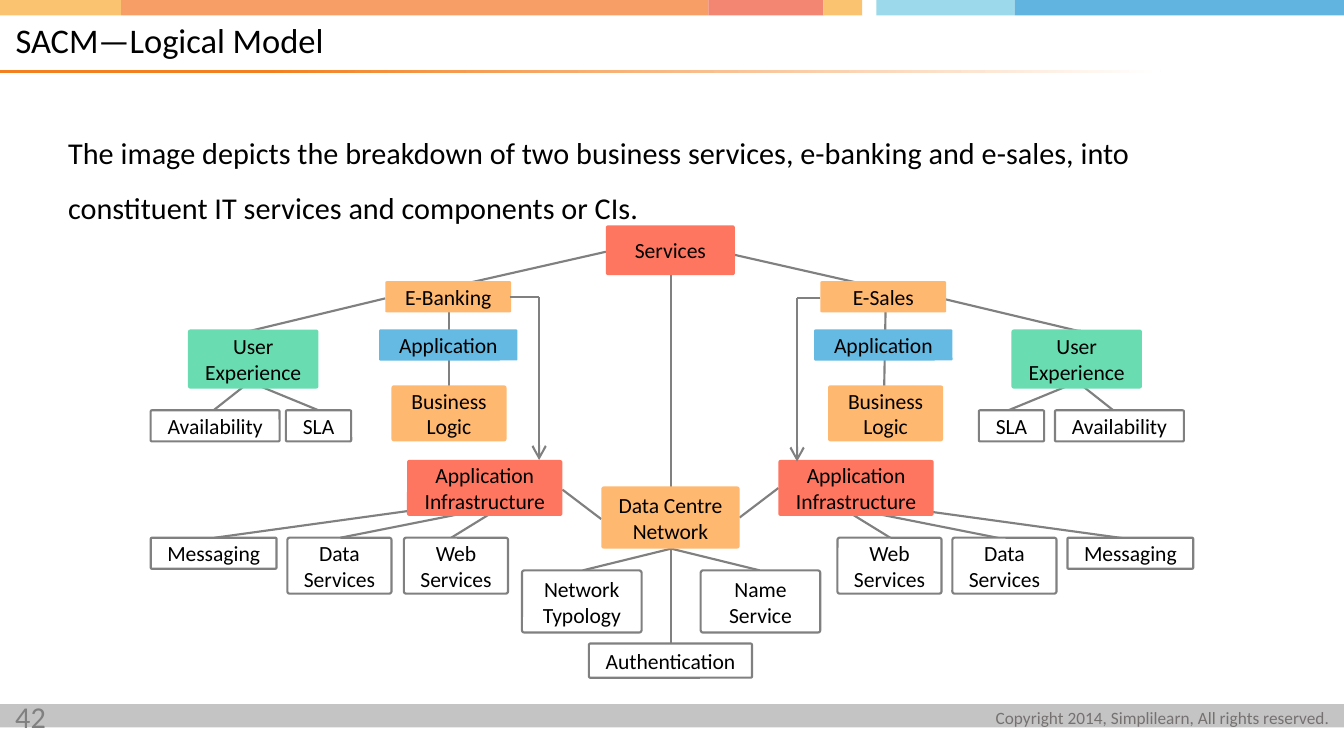
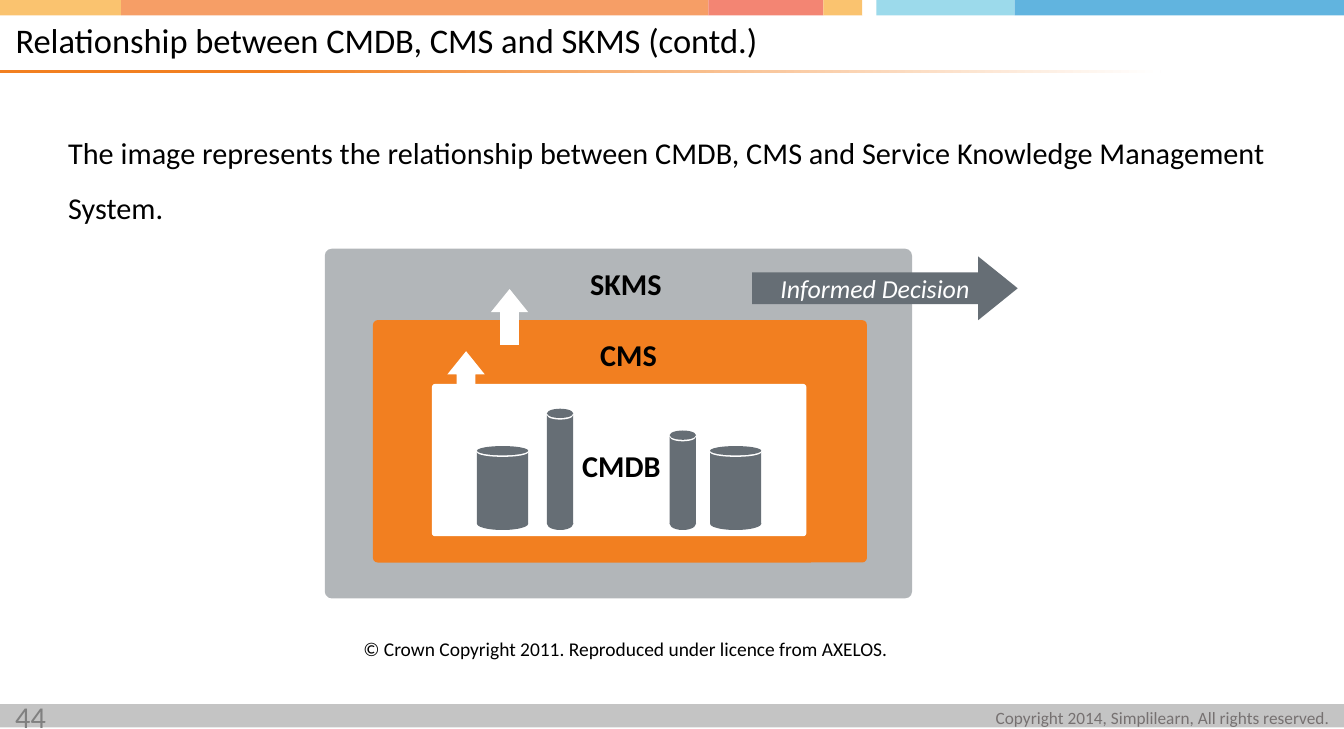
from itertools import pairwise

from lxml import etree
from pptx import Presentation
from pptx.dml.color import RGBColor
from pptx.enum.shapes import MSO_CONNECTOR, MSO_SHAPE
from pptx.enum.text import MSO_ANCHOR, MSO_AUTO_SIZE, PP_ALIGN
from pptx.oxml.ns import qn
from pptx.util import Pt

PX = 9144
WIDE, HIGH = 865, 469

RECT, OVAL, ROUND = MSO_SHAPE.RECTANGLE, MSO_SHAPE.OVAL, MSO_SHAPE.ROUNDED_RECTANGLE
RIGHT_ARROW, UP_ARROW = MSO_SHAPE.RIGHT_ARROW, MSO_SHAPE.UP_ARROW
STRAIGHT = MSO_CONNECTOR.STRAIGHT
TOP, MIDDLE = MSO_ANCHOR.TOP, MSO_ANCHOR.MIDDLE
LEFT, CENTER, RIGHT = PP_ALIGN.LEFT, PP_ALIGN.CENTER, PP_ALIGN.RIGHT
NO_FIT = MSO_AUTO_SIZE.NONE

BLACK = RGBColor(0, 0, 0)
WHITE = RGBColor(255, 255, 255)
GRAY = RGBColor(0x80, 0x80, 0x80)
SILVER = RGBColor(0xC4, 0xC4, 0xC4)
STONE = RGBColor(0x76, 0x71, 0x71)
SLATE = RGBColor(0x66, 0x6E, 0x75)
RULE = RGBColor(0xF2, 0x80, 0x20)
ORANGE = RGBColor(0xF2, 0x7F, 0x20)
CORAL = RGBColor(0xFF, 0x76, 0x60)
PEACH = RGBColor(0xFF, 0xB8, 0x70)
BLUE = RGBColor(0x64, 0xBA, 0xE3)
GREEN = RGBColor(0x69, 0xDD, 0xB1)
GOLD = RGBColor(0xFA, 0xC3, 0x6F)
BANDS = [GOLD, RGBColor(0xF6, 0x9E, 0x66), RGBColor(0xF3, 0x85, 0x73), GOLD,
         WHITE, RGBColor(0x9C, 0xDA, 0xEB), RGBColor(0x61, 0xB4, 0xDF)]
EDGES = [0, 78, 456, 530, 555, 564, 653, WIDE]

FOOTER = "Copyright 2014, Simplilearn, All rights reserved."
MODEL = {
    "title": "SACM—Logical Model",
    "body": "The image depicts the breakdown of two business services, e-banking and "
            "e-sales, into constituent IT services and components or CIs.",
    "page": "42",
}
SYSTEM = {
    "title": "Relationship between CMDB, CMS and SKMS (contd.)",
    "body": "The image represents the relationship between CMDB, CMS and Service "
            "Knowledge Management System.",
    "page": "44",
}
CREDIT = "© Crown Copyright 2011. Reproduced under licence from AXELOS."

SINGLES = [
    (["Services"], (390, 145, 83, 32), CORAL),
    (["Data Centre", "Network"], (387, 313, 89, 40), PEACH),
    (["Network", "Typology"], (336, 367, 77, 40), WHITE),
    (["Name", "Service"], (451, 367, 77, 40), WHITE),
    (["Authentication"], (379, 414, 105, 22), WHITE),
    (["E-Banking"], (248, 181, 81, 20), PEACH),
    (["E-Sales"], (528, 181, 81, 20), PEACH),
]
TWINS = [
    (["Application"], (244, 524), (212, 89, 20), BLUE),
    (["User", "Experience"], (121, 651), (212, 84, 38), GREEN),
    (["Availability"], (97, 679), (264, 83, 20), WHITE),
    (["SLA"], (184, 630), (264, 42, 20), WHITE),
    (["Business", "Logic"], (252, 533), (248, 74, 36), PEACH),
    (["Application", "Infrastructure"], (262, 501), (296, 100, 36), CORAL),
    (["Messaging"], (97, 687), (346, 81, 20), WHITE),
    (["Data", "Services"], (185, 613), (346, 67, 36), WHITE),
    (["Web", "Services"], (260, 539), (346, 67, 36), WHITE),
]
NODES = SINGLES + [(lines, (x, y, w, h), fill)
                   for lines, sides, (y, w, h), fill in TWINS for x in sides]
LINKS = [
    (570, 197, 569, 254), (722, 234, 649, 264), (676, 232, 733, 277),
    (606, 192, 711, 217), (464, 162, 592, 191), (432, 177, 432, 414),
    (501, 314, 476, 333), (362, 315, 387, 334), (546, 322, 728, 347),
    (521, 322, 647, 347), (534, 322, 586, 354), (319, 321, 138, 346),
    (345, 321, 219, 346), (331, 321, 279, 353), (289, 194, 289, 252),
    (132, 234, 205, 264), (178, 232, 121, 277), (248, 192, 144, 217),
    (390, 162, 262, 191), (432, 353, 489, 367), (432, 353, 375, 367),
]
ELBOWS = [(328, 347, 191), (528, 513, 192)]
DROP = 105

FRAMES = [((209, 160, 378, 225), SLATE, 50), ((240, 206, 318, 156), ORANGE, 100),
          ((278, 247, 241, 98), WHITE, 100)]
DRUMS = [(307, 33, 287), (352, 17, 263), (457, 33, 287), (431, 17, 277)]
BASE = 337
LABELS = [("SKMS", (370, 154, 69, 45), LEFT), ("CMS", (370, 200, 69, 45), CENTER),
          ("CMDB", (363, 271, 74, 45), CENTER)]
RISES = [(288, 226), (316, 186)]


def apply(item, values):
    for name, value in values.items():
        setattr(item, name, value)


def scale(box):
    return [n * PX for n in box]


def write(shape, lines, size, color=BLACK, align=LEFT, space=1.0, anchor=TOP,
          pad=(10, 5, 10, 5), wrap=True, **style):
    sides = ("margin_left", "margin_top", "margin_right", "margin_bottom")
    frame = shape.text_frame
    apply(frame, {"word_wrap": wrap, "auto_size": NO_FIT, "vertical_anchor": anchor,
                  **dict(zip(sides, scale(pad)))})
    frame.text = "\n".join(lines)
    for para in frame.paragraphs:
        apply(para, {"alignment": align, "line_spacing": space, "space_before": Pt(0)})
        apply(para.font, {"name": "Calibri", "size": Pt(size), **style})
        para.font.color.rgb = color


def label(slide, text, box, size, **style):
    write(slide.shapes.add_textbox(*scale(box)), [text], size, **style)


def draw(slide, kind, box, fill, edge=None, adjust=(), alpha=100):
    shape = slide.shapes.add_shape(kind, *scale(box))
    shape.shadow.inherit = False
    shape.fill.solid()
    shape.fill.fore_color.rgb = fill
    if alpha < 100:
        tint = shape._element.spPr.find(".//" + qn("a:srgbClr"))
        etree.SubElement(tint, qn("a:alpha")).set("val", str(alpha * 1000))
    if edge is None:
        shape.line.fill.background()
    else:
        shape.line.color.rgb = edge
        shape.line.width = Pt(1)
    for i, value in enumerate(adjust):
        shape.adjustments[i] = value
    return shape


def wire(slide, ends, head=False):
    line = slide.shapes.add_connector(STRAIGHT, *scale(ends))
    line.line.color.rgb = GRAY
    line.line.width = Pt(1)
    if head:
        tail = etree.SubElement(line.line._get_or_add_ln(), qn("a:tailEnd"))
        tail.set("type", "arrow")
    etree.SubElement(line._element.spPr, qn("a:effectLst"))


def start(deck, text):
    slide = deck.slides.add_slide(deck.slide_layouts[5])
    draw(slide, RECT, (0, 453, WIDE, 15), SILVER)
    label(slide, FOOTER, (640, 450, 216, 24), 8, color=STONE, align=RIGHT,
          pad=(0, 5, 0, 5), wrap=False)
    for (left, right), fill in zip(pairwise(EDGES), BANDS):
        draw(slide, RECT, (left, 0, right - left, 10), fill)
    rule = draw(slide, RECT, (0, 45, 747, 2), RULE)
    rule.fill.gradient()
    rule.fill.gradient_angle = 0
    for stop, spot, color in zip(rule.fill.gradient_stops, (0.23, 1), (RULE, WHITE)):
        stop.position = spot
        stop.color.rgb = color
    label(slide, text["page"], (0, 444, 63, 25), 14, color=GRAY)
    label(slide, text["body"], (34, 70, 798, 80), 14, space=1.5)
    title = slide.shapes.title
    apply(title, dict(zip(("left", "top", "width", "height"), scale((0, 10, 708, 34)))))
    write(title, [text["title"]], 16, space=0.9, anchor=MIDDLE, pad=(10, 0, 0, 0))
    return slide


def model(deck):
    slide = start(deck, MODEL)
    for ends in LINKS:
        wire(slide, ends)
    for lines, box, fill in NODES:
        edge = GRAY if fill == WHITE else None
        node = draw(slide, ROUND, box, fill, edge, [0.04])
        write(node, lines, 10, align=CENTER, anchor=MIDDLE, pad=(0, 0, 0, 0), wrap=False)
    for near, far, y in ELBOWS:
        wire(slide, (near, y, far, y))
        wire(slide, (far, y, far, y + DROP), head=True)


def drum(slide, x, w, top):
    draw(slide, RECT, (x, top + 4, w, BASE - top - 4), SLATE)
    draw(slide, OVAL, (x, top + 1, w, 6), WHITE)
    draw(slide, OVAL, (x, top, w, 6), SLATE)
    draw(slide, OVAL, (x, BASE - 4, w, 8), SLATE)


def system(deck):
    slide = start(deck, SYSTEM)
    label(slide, CREDIT, (224, 405, 361, 25), 9)
    for box, fill, alpha in FRAMES:
        draw(slide, ROUND, box, fill, adjust=[0.02], alpha=alpha)
    for x, w, top in DRUMS:
        drum(slide, x, w, top)
    for text, box, align in LABELS:
        label(slide, text, box, 14, align=align, space=1.5, bold=True)
    arrow = draw(slide, RIGHT_ARROW, (484, 165, 171, 41), SLATE, adjust=[0.5, 0.62])
    write(arrow, ["Informed Decision"], 12, color=WHITE, align=CENTER, anchor=MIDDLE,
          pad=(10, 0, 10, 0), wrap=False, italic=True)
    for x, y in RISES:
        draw(slide, UP_ARROW, (x, y, 24, 36), WHITE, adjust=[0.5, 0.62])


def main():
    deck = Presentation()
    apply(deck, {"slide_width": WIDE * PX, "slide_height": HIGH * PX})
    model(deck)
    system(deck)
    deck.save("out.pptx")


if __name__ == "__main__":
    main()
